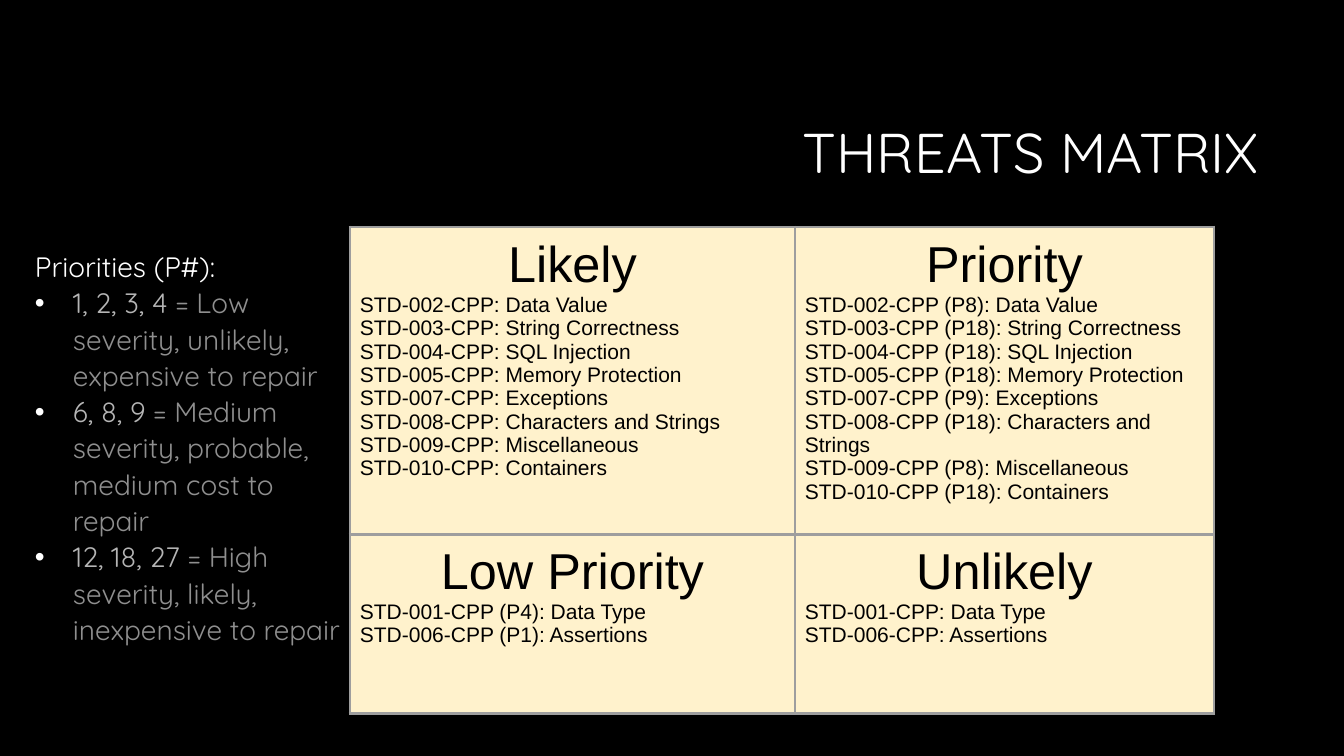
from dataclasses import dataclass
from lxml.etree import SubElement
from pptx import Presentation
from pptx.dml.color import RGBColor as RGB
from pptx.enum.text import MSO_ANCHOR as Anchor, PP_ALIGN as Align
from pptx.oxml import parse_xml
from pptx.oxml.ns import nsdecls, qn
from pptx.util import Pt

SCALE = 914400 / 100.8  # EMU in one px


@dataclass
class Theme:
    back: str = "000000"
    white: str = "FFFFFF"
    light: str = "B5B5B5"
    gray: str = "8F8F8F"
    ink: str = "000000"
    cream: str = "FFF2CC"
    edge: str = "9E9E9E"
    sans: str = "Quicksand"
    grid: str = "Arial"
    title: int = 40
    head: int = 36
    body: int = 20
    item: int = 15


theme = Theme()


def px(n):
    return round(n * SCALE)


def style(font, name, size, color):
    font.name, font.size = name, Pt(size)
    font.color.rgb = RGB.from_string(color)


deck = Presentation()
deck.slide_width, deck.slide_height = px(1344), px(756)
slide = deck.slides.add_slide(deck.slide_layouts[5])
slide.background.fill.solid()
slide.background.fill.fore_color.rgb = RGB.from_string(theme.back)

# Title
title = slide.shapes.title
title.left, title.top, title.width, title.height = px(320), px(85), px(949), px(141)
frame = title.text_frame
frame.text = "THREATS MATRIX"
frame.vertical_anchor = Anchor.MIDDLE
para = frame.paragraphs[0]
para.alignment, para.line_spacing = Align.RIGHT, 0.9
style(para.font, theme.sans, theme.title, theme.white)

# Priority key
levels = [
    ("1, 2, 3, 4 ", "= Low severity, unlikely, expensive to repair"),
    ("6, 8, 9 ", "= Medium severity, probable, medium cost to repair"),
    ("12, 18, 27 ", "= High severity, likely, inexpensive to repair"),
]
frame = slide.shapes.add_textbox(px(0), px(242), px(350), px(447)).text_frame
frame.word_wrap = True
para = frame.paragraphs[0]
para.text, para.line_spacing = "Priorities (P#):", 1.08
style(para.font, theme.sans, theme.body, theme.white)
para._p.get_or_add_pPr().set("marL", str(px(25)))

for level in levels:
    para = frame.add_paragraph()
    para.line_spacing = 1.08
    props = para._p.get_or_add_pPr()
    props.set("marL", str(px(63)))
    props.set("indent", str(px(-38)))
    tint = SubElement(props, qn("a:buClr"))
    SubElement(tint, qn("a:srgbClr"), val=theme.white)
    SubElement(props, qn("a:buFont"), typeface=theme.grid)
    SubElement(props, qn("a:buChar"), char="•")
    for text, color in zip(level, (theme.light, theme.gray)):
        run = para.add_run()
        run.text = text
        style(run.font, theme.sans, theme.body, color)

# Threat matrix: heading, then (number, priority) of each standard
names = {
    1: "Data Type", 2: "Data Value", 3: "String Correctness",
    4: "SQL Injection", 5: "Memory Protection", 6: "Assertions",
    7: "Exceptions", 8: "Characters and Strings", 9: "Miscellaneous",
    10: "Containers",
}
high = {2: 8, 3: 18, 4: 18, 5: 18, 7: 9, 8: 18, 9: 8, 10: 18}
low = {1: 4, 6: 1}
matrix = [
    [("Likely", high, False), ("Priority", high, True)],
    [("Low Priority", low, True), ("Unlikely", low, False)],
]
table = slide.shapes.add_table(2, 2, px(350), px(227), px(864), px(484)).table
for col, width in zip(table.columns, (445, 419)):
    col.width = px(width)
for row, height in zip(table.rows, (305, 179)):
    row.height = px(height)

for r, line in enumerate(matrix):
    for c, (head, ranks, show) in enumerate(line):
        cell = table.cell(r, c)
        cell.margin_left = cell.margin_right = px(10)
        cell.margin_top = cell.margin_bottom = px(10)
        cell.fill.solid()
        cell.fill.fore_color.rgb = RGB.from_string(theme.cream)

        # Text
        items = [
            f"STD-{n:03}-CPP{f' (P{rank})' if show else ''}: {names[n]}"
            for n, rank in ranks.items()
        ]
        cell.text = "\n".join([head] + items)
        for i, para in enumerate(cell.text_frame.paragraphs):
            para.alignment = Align.LEFT if i else Align.CENTER
            size = theme.item if i else theme.head
            style(para.font, theme.grid, size, theme.ink)
            para.font.bold = False

        # Borders
        props = cell._tc.get_or_add_tcPr()
        for i, side in enumerate("LRTB"):
            props.insert(i, parse_xml(
                f'<a:ln{side} {nsdecls("a")} w="{Pt(2.25)}"><a:solidFill>'
                f'<a:srgbClr val="{theme.edge}"/></a:solidFill></a:ln{side}>'))

deck.save("out.pptx")
